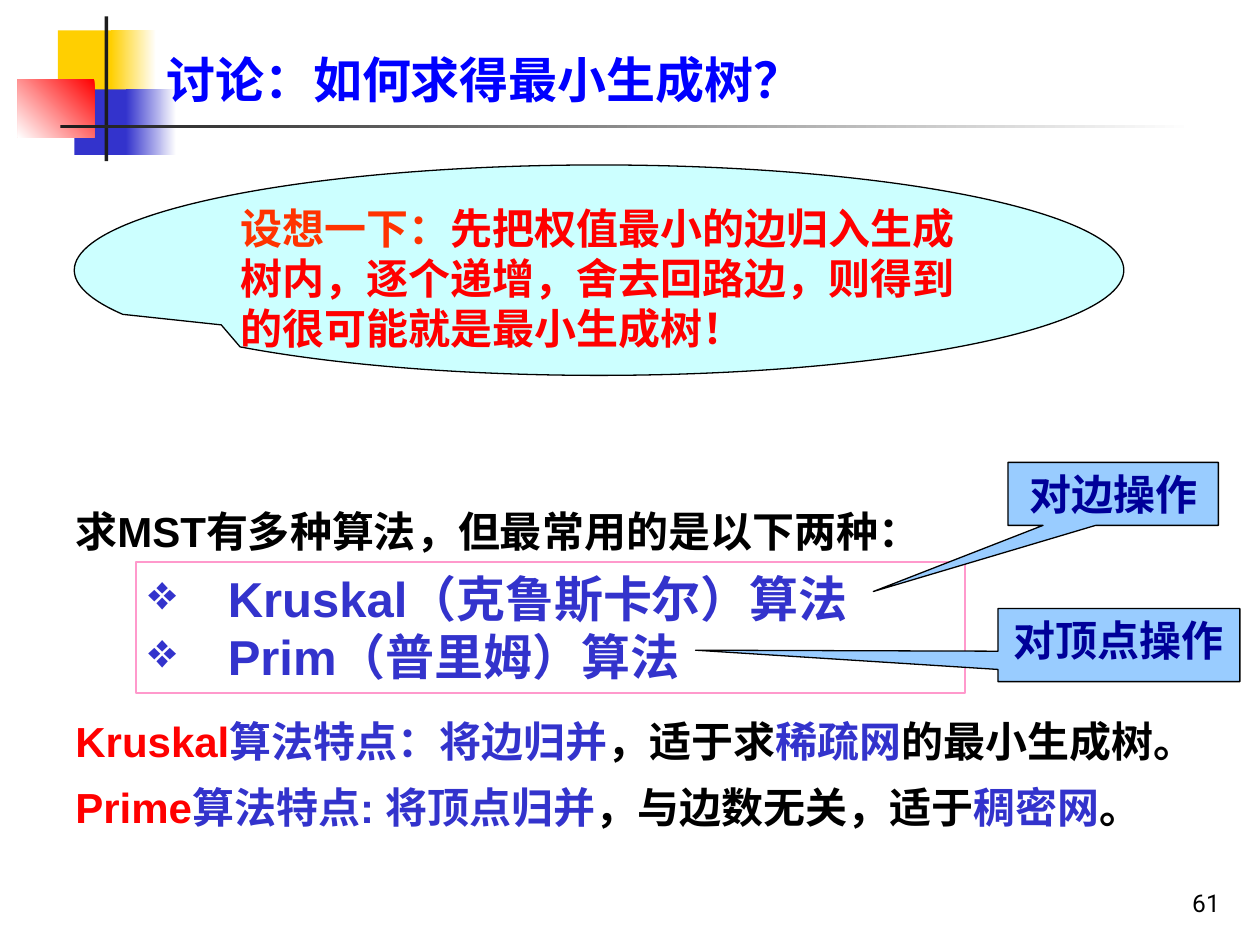
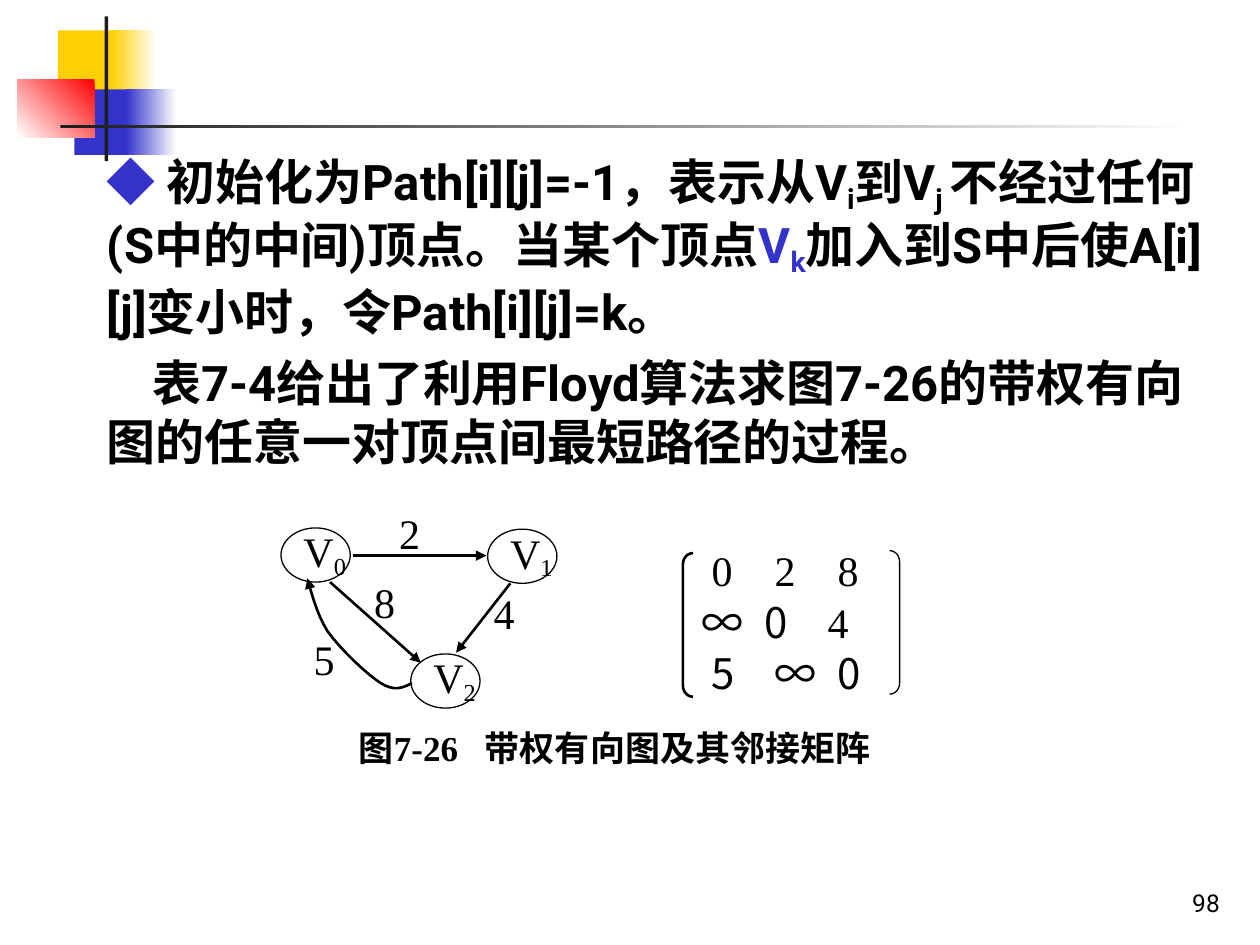
from lxml.etree import SubElement
from pptx import Presentation
from pptx.dml.color import RGBColor
from pptx.enum.shapes import MSO_CONNECTOR, MSO_SHAPE as Shape
from pptx.enum.text import MSO_ANCHOR as Anchor, MSO_AUTO_SIZE as AutoSize, PP_ALIGN as Align
from pptx.oxml.ns import qn
from pptx.util import Pt

PX = 9144
SANS, CJK, ROBOTO, SERIF = "Arial", "Noto Sans CJK SC", "Roboto", "Times New Roman"
BLACK = RGBColor(0x00, 0x00, 0x00)
WHITE = RGBColor(0xFF, 0xFF, 0xFF)
CHARCOAL = RGBColor(0x1C, 0x1C, 0x1C)
YELLOW = RGBColor(0xFF, 0xCF, 0x01)
INDIGO = RGBColor(0x33, 0x33, 0xCC)
RED = RGBColor(0xFF, 0x00, 0x00)
ORANGE = RGBColor(0xFF, 0x33, 0x00)
BLUE = RGBColor(0x00, 0x00, 0xFF)
NAVY = RGBColor(0x00, 0x00, 0x99)
PINK = RGBColor(0xFF, 0x99, 0xCC)
AQUA = RGBColor(0xCC, 0xFF, 0xFF)
SKY = RGBColor(0x99, 0xCC, 0xFF)


def emu(*lengths):
    return [round(length * PX) for length in lengths]


def set_values(target, values):
    for name, value in values.items():
        setattr(target, name, value)


def bezier(points, steps=8):
    weights = (1, 3, 3, 1)
    for step in range(1, steps + 1):
        t = step / steps
        yield tuple(
            sum(w * (1 - t) ** (3 - i) * t ** i * point[axis]
                for i, (w, point) in enumerate(zip(weights, points)))
            for axis in (0, 1))


class Deck:
    decorations = (
        ((46, 24, 48, 52), YELLOW, None),
        ((88, 24, 36, 52), YELLOW, 0),
        ((59, 71, 46, 52), INDIGO, None),
        ((100, 71, 40, 52), INDIGO, 0),
        ((14, 63, 61, 46), RED, 225),
        ((83, 13, 3, 115), CHARCOAL, None),
        ((48, 99, 900, 3), CHARCOAL, 0),
    )

    def __init__(self):
        self.presentation = Presentation()
        set_values(self.presentation, {"slide_width": 1000 * PX, "slide_height": 750 * PX})
        self.slide = None

    def new_slide(self, number, title=None):
        layout = self.presentation.slide_layouts[5 if title else 6]
        self.slide = self.presentation.slides.add_slide(layout)
        for box, color, angle in self.decorations:
            self.shape(Shape.RECTANGLE, box, color, angle=angle)
        if title:
            self.title(title)
        self.text((770, 683, 208, 50), [[(str(number), {})]], size=14, font=ROBOTO,
                  bold=False, anchor=Anchor.BOTTOM, align=Align.RIGHT)

    def title(self, text):
        title = self.slide.shapes.title
        self.slide.shapes._spTree.append(title._element)
        left, top, width, height = emu(122, 33, 542, 58)
        set_values(title, {"left": left, "top": top, "width": width, "height": height})
        self.fill_text(title, [[(text, {})]], size=28, color=BLUE, anchor=Anchor.BOTTOM)

    def outline(self, shape, color, width, arrow=False):
        shape.line.color.rgb = color
        shape.line.width = Pt(width)
        if arrow:
            line = shape._element.spPr.find(qn("a:ln"))
            SubElement(line, qn("a:tailEnd"), type="triangle")

    def shape(self, kind, box, fill=None, line=None, width=0.75, angle=None, adjust=()):
        shape = self.slide.shapes.add_shape(kind, *emu(*box))
        shape.shadow.inherit = False
        for index, value in enumerate(adjust):
            shape.adjustments[index] = value
        if fill is None:
            shape.fill.background()
        elif angle is None:
            shape.fill.solid()
            shape.fill.fore_color.rgb = fill
        else:
            shape.fill.gradient()
            shape.fill.gradient_angle = angle
            for stop, color in zip(shape.fill.gradient_stops, (fill, WHITE)):
                stop.color.rgb = color
        if line is None:
            shape.line.fill.background()
        else:
            self.outline(shape, line, width)
        return shape

    def text(self, box, paragraphs, **style):
        shape = self.slide.shapes.add_textbox(*emu(*box))
        self.fill_text(shape, paragraphs, **style)

    def arrow(self, start, end):
        connector = self.slide.shapes.add_connector(MSO_CONNECTOR.STRAIGHT, *emu(*start, *end))
        self.outline(connector, BLACK, 1.5, arrow=True)
        SubElement(connector._element.spPr, qn("a:effectLst"))

    def curved_arrow(self, start, curves):
        builder = self.slide.shapes.build_freeform(*emu(*start), scale=1.0)
        for curve in curves:
            builder.add_line_segments(
                [emu(*point) for point in bezier([start, *curve])], close=False)
            start = curve[-1]
        shape = builder.convert_to_shape()
        shape.shadow.inherit = False
        shape.fill.background()
        self.outline(shape, BLACK, 1.5, arrow=True)

    def fill_text(self, shape, paragraphs, size=24, font=SANS, color=BLACK, bold=True,
                  anchor=Anchor.TOP, align=Align.LEFT, wrap=True, gap=0, margin=0,
                  indents=(0,), bullet=None, tabs=(), spacings=(1.2,)):
        frame = shape.text_frame
        set_values(frame, {"auto_size": AutoSize.NONE, "word_wrap": wrap,
                           "vertical_anchor": anchor})
        for index, runs in enumerate(paragraphs):
            paragraph = frame.add_paragraph() if index else frame.paragraphs[0]
            properties = paragraph._p.get_or_add_pPr()
            properties.set("marL", str(margin * PX))
            properties.set("indent", str(indents[index % len(indents)] * PX))
            if bullet:
                bullet_color = SubElement(properties, qn("a:buClr"))
                SubElement(bullet_color, qn("a:srgbClr"), val=str(color))
                SubElement(properties, qn("a:buChar"), char=bullet)
            if tabs:
                tab_list = SubElement(properties, qn("a:tabLst"))
                for tab in tabs:
                    SubElement(tab_list, qn("a:tab"), pos=str(tab * PX), algn="l")
            set_values(paragraph, {
                "alignment": align,
                "line_spacing": Pt(size * spacings[index % len(spacings)]),
                "space_before": Pt(gap if index else 0),
            })
            for text, changes in runs:
                self.run(paragraph, text, **{"size": size, "font": font, "color": color,
                                             "bold": bold, **changes})

    def run(self, paragraph, text, size, font, color, bold, sub=False):
        run = paragraph.add_run()
        run.text = text
        set_values(run.font, {"name": font, "size": Pt(size), "bold": bold})
        run.font.color.rgb = color
        properties = run._r.get_or_add_rPr()
        SubElement(properties, qn("a:ea"), typeface=CJK)
        if sub:
            properties.set("baseline", "-18000")


def build_spanning_tree(deck):
    deck.new_slide(61, "讨论：如何求得最小生成树？")
    idea = deck.shape(Shape.OVAL_CALLOUT, (59, 131, 833, 167), AQUA, BLACK,
                      adjust=(-0.36, 0.26))
    deck.fill_text(idea, [[
        ("设想一下：", {"color": ORANGE}),
        ("先把权值最小的边归入生成树内，逐个递增，舍去回路边，则得到的很可能就是最小生成树！", {}),
    ]], color=RED)
    deck.text((50, 396, 750, 50), [[("求MST有多种算法，但最常用的是以下两种：", {})]])
    algorithms = deck.shape(Shape.RECTANGLE, (108, 446, 658, 104), line=PINK)
    deck.fill_text(algorithms, [[("Kruskal（克鲁斯卡尔）算法", {})], [("Prim（普里姆）算法", {})]],
                   size=28, color=INDIGO, margin=63, indents=(-63,), bullet="❖")
    red, indigo = {"color": RED}, {"color": INDIGO}
    deck.text((50, 563, 917, 103), [
        [("Kruskal", red), ("算法特点：将边归并", indigo), ("，适于求", {}),
         ("稀疏网", indigo), ("的最小生成树。", {})],
        [("Prime", red), ("算法特点: 将顶点归并", indigo), ("，与边数无关，适于", {}),
         ("稠密网", indigo), ("。", {})],
    ], gap=9)
    for label, box, adjust in (
        ("对边操作", (800, 367, 167, 50), (-1.14, 1.55)),
        ("对顶点操作", (792, 483, 192, 58), (-1.75, 0.07)),
    ):
        callout = deck.shape(Shape.RECTANGULAR_CALLOUT, box, SKY, BLACK, adjust=adjust)
        deck.fill_text(callout, [[(label, {})]], color=NAVY, align=Align.CENTER)


def build_floyd(deck):
    deck.new_slide(98)
    roboto, sub = {"font": ROBOTO}, {"font": ROBOTO, "sub": True}
    deck.text((17, 116, 967, 263), [
        [("◆", {"color": INDIGO}), (" 初始化为", {}), ("Path[i][j]=-1", roboto), ("，表示", {}),
         ("从V", roboto), ("i", sub), ("到V", roboto), ("j ", sub), ("不经过任何(S", roboto),
         ("中的", {}), ("中间)顶点", roboto), ("。当某个顶点", {}),
         ("V", {**roboto, "color": INDIGO}), ("k", {**sub, "color": INDIGO}),
         ("加入到S", roboto), ("中后使", {}), ("A[i][j]变小时", roboto), ("，令", {}),
         ("Path[i][j]=k", roboto), ("。", {})],
        [("表", {}), ("7-4给出了利用Floyd算法求", roboto), ("图", {}),
         ("7-26的带权有向图的任意一对顶点间", roboto), ("最短路径的过程。", {})],
    ], size=28, font=CJK, gap=7, margin=58, indents=(0, 36), spacings=(1.28, 1.2))

    plain = {"font": SERIF, "bold": False, "anchor": Anchor.MIDDLE, "wrap": False}
    deck.text((275, 576, 412, 35), [[("图7-26\t带权有向图及其", {}), ("邻接", {"font": CJK}),
                                     ("矩阵", {})]],
              **{**plain, "size": 20, "bold": True, "tabs": (107,)})

    cjk = {"font": CJK}
    for left, top, tabs, runs in (
        (555, 435, (59, 118), [("0\t2\t8", {})]),
        (547, 476, (48, 100), [("∞\t0", cjk), ("\t4", {})]),
        (555, 516, (44, 110), [("5\t∞\t0", cjk)]),
    ):
        deck.text((left, top, 149, 35), [runs], tabs=tabs, **plain)
    deck.shape(Shape.LEFT_BRACKET, (542, 439, 8, 114), line=BLACK, width=1.5, adjust=(1.1,))
    deck.shape(Shape.RIGHT_BRACKET, (706, 437, 8, 114), line=BLACK, adjust=(1.1,))

    for index, (left, top) in enumerate(((223, 419), (387, 420), (326, 519))):
        vertex = deck.shape(Shape.OVAL, (left, top, 55, 43), line=BLACK)
        deck.fill_text(vertex, [[("V", {}), (str(index), {"sub": True})]], **plain)
    for start, end in (((280, 441), (386, 441)), ((262, 462), (334, 526)),
                       ((405, 463), (362, 518))):
        deck.arrow(start, end)
    deck.curved_arrow((327, 542), (
        ((320, 546), (313, 549), (302, 542)),
        ((291, 535), (270, 515), (260, 501)),
        ((251, 487), (246, 466), (244, 459)),
    ))
    for weight, left, top in (("2", 307, 403), ("8", 287, 458), ("4", 382, 467),
                              ("5", 239, 503)):
        deck.text((left, top, 39, 39), [[(weight, {})]], **plain)


def main():
    deck = Deck()
    build_spanning_tree(deck)
    build_floyd(deck)
    deck.presentation.save("out.pptx")


if __name__ == "__main__":
    main()
